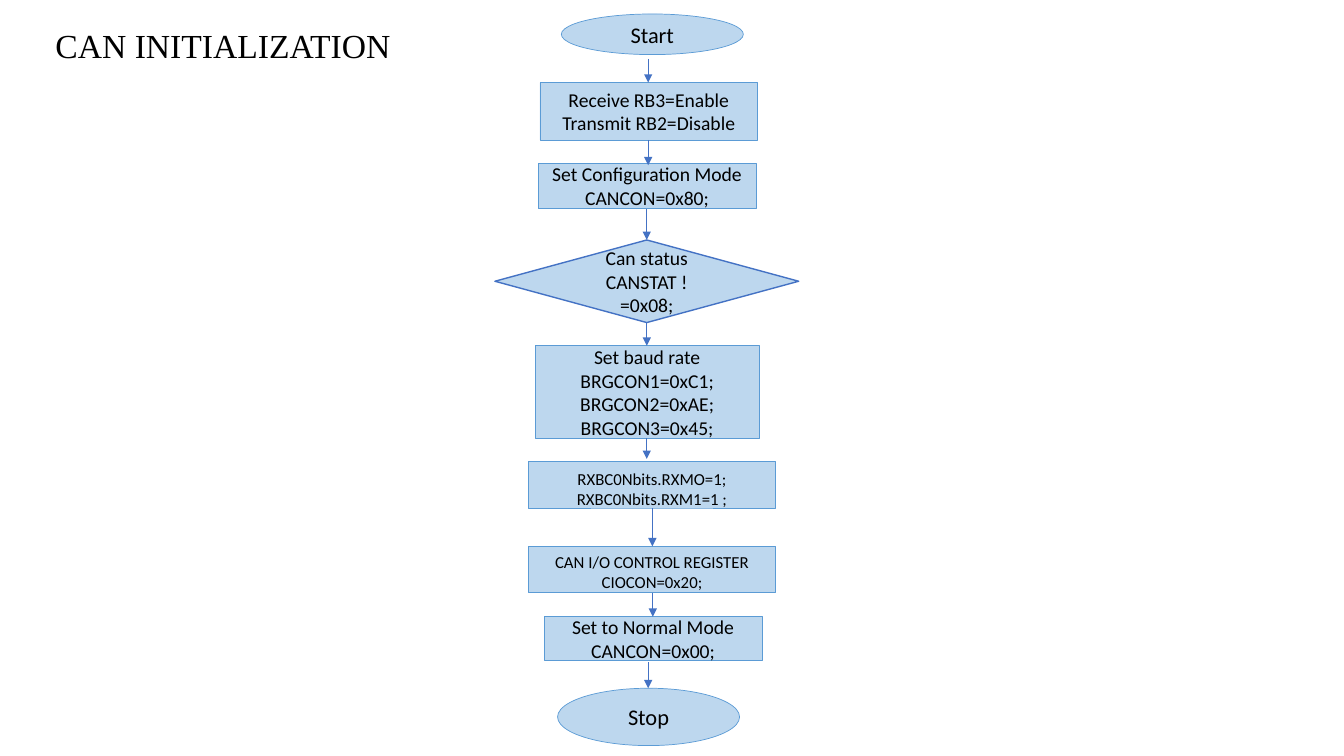
from lxml import etree
from pptx import Presentation
from pptx.dml.color import RGBColor
from pptx.enum.shapes import MSO_CONNECTOR, MSO_SHAPE
from pptx.enum.text import MSO_ANCHOR, MSO_AUTO_SIZE, PP_ALIGN
from pptx.oxml.ns import qn
from pptx.util import Pt

OVAL, BOX, DIAMOND = MSO_SHAPE.OVAL, MSO_SHAPE.RECTANGLE, MSO_SHAPE.DIAMOND
STRAIGHT = MSO_CONNECTOR.STRAIGHT
LEFT, CENTER = PP_ALIGN.LEFT, PP_ALIGN.CENTER
TOP, MIDDLE = MSO_ANCHOR.TOP, MSO_ANCHOR.MIDDLE
NO_AUTOFIT = MSO_AUTO_SIZE.NONE

BLACK, PALE_BLUE, EDGE_BLUE, ARROW_BLUE = "000000", "BDD7EE", "5B9BD5", "4472C4"
THIN, MEDIUM = 0.5, 1
INSET = 3.6

TITLE = "CAN INITIALIZATION"
# kind, (left, top, width, height), font size, extra top inset, lines
STEPS = [
    (OVAL, (401, 10, 130, 29), 16, 0, ["Start"]),
    (BOX, (385.7, 59, 155.5, 41), 14, 0, ["Receive RB3=Enable", "Transmit RB2=Disable"]),
    (BOX, (384.5, 116.6, 155.5, 32.4), 14, 0, ["Set Configuration Mode", "CANCON=0x80;"]),
    (DIAMOND, (353.5, 171.4, 217, 59), 14, 0, ["Can status CANSTAT !=0x08;"]),
    (BOX, (382.3, 247, 160, 66.2), 14, 0,
     ["Set baud rate", "BRGCON1=0xC1;", "BRGCON2=0xAE;", "BRGCON3=0x45;"]),
    (BOX, (377.5, 329.8, 176.5, 33.1), 12, 6, ["RXBC0Nbits.RXMO=1;", "RXBC0Nbits.RXM1=1 ;"]),
    (BOX, (377.5, 390.2, 176.5, 33.1), 12, 3, ["CAN I/O CONTROL REGISTER", "CIOCON=0x20;"]),
    (BOX, (388.8, 440.6, 155.5, 31), 14, 0, ["Set to Normal Mode", "CANCON=0x00;"]),
    (OVAL, (398.3, 491.6, 130, 41), 16, 0, ["Stop"]),
]
# x, gap after the upper step, gap before the lower step; one per pair of steps
ARROWS = [(463, 3, 0), (463, 0, -1.4), (462, 0, 0), (462, 0, 0),
          (462, 0, 2), (466, 0, 0), (466.3, 0, 0), (463, 1.5, 0)]


def color(hex_code):
    """Turn a hex string into a colour."""
    return RGBColor.from_string(hex_code)


def write(frame, lines, font_name, size, align, anchor):
    """Fill a text frame with one paragraph per line."""
    frame.word_wrap = True
    frame.auto_size = NO_AUTOFIT
    frame.vertical_anchor = anchor
    frame.text = "\n".join(lines)
    for paragraph in frame.paragraphs:
        paragraph.alignment = align
        paragraph.font.name = font_name
        paragraph.font.size = Pt(size)
        paragraph.font.color.rgb = color(BLACK)


def add_step(slide, kind, bounds, size, extra_inset, lines):
    """Draw one step of the flowchart."""
    step = slide.shapes.add_shape(kind, *map(Pt, bounds))
    step.shadow.inherit = False
    step.fill.solid()
    step.fill.fore_color.rgb = color(PALE_BLUE)
    is_decision = kind == DIAMOND
    step.line.color.rgb = color(ARROW_BLUE if is_decision else EDGE_BLUE)
    step.line.width = Pt(MEDIUM if is_decision else THIN)
    write(step.text_frame, lines, "Calibri", size, CENTER, MIDDLE)
    step.text_frame.margin_top = Pt(INSET + extra_inset)


def add_arrow(slide, x, start, end):
    """Draw a downward arrow between two heights."""
    arrow = slide.shapes.add_connector(STRAIGHT, Pt(x), Pt(start), Pt(x), Pt(end))
    arrow.line.color.rgb = color(ARROW_BLUE)
    arrow.line.width = Pt(THIN)
    properties = arrow.element.spPr
    etree.SubElement(properties.find(qn("a:ln")), qn("a:tailEnd"), type="triangle")
    etree.SubElement(properties, qn("a:effectLst"))


presentation = Presentation()
presentation.slide_width, presentation.slide_height = Pt(960), Pt(540)
slide = presentation.slides.add_slide(presentation.slide_layouts[5])

title = slide.shapes.title
title.left, title.top, title.width, title.height = map(Pt, (32.4, 14.4, 257.8, 36))
write(title.text_frame, [TITLE], "Times New Roman", 24, LEFT, TOP)

for step in STEPS:
    add_step(slide, *step)

for upper, lower, (x, gap_after, gap_before) in zip(STEPS, STEPS[1:], ARROWS):
    _, upper_top, _, upper_height = upper[1]
    lower_top = lower[1][1]
    add_arrow(slide, x, upper_top + upper_height + gap_after, lower_top - gap_before)

presentation.save("out.pptx")
